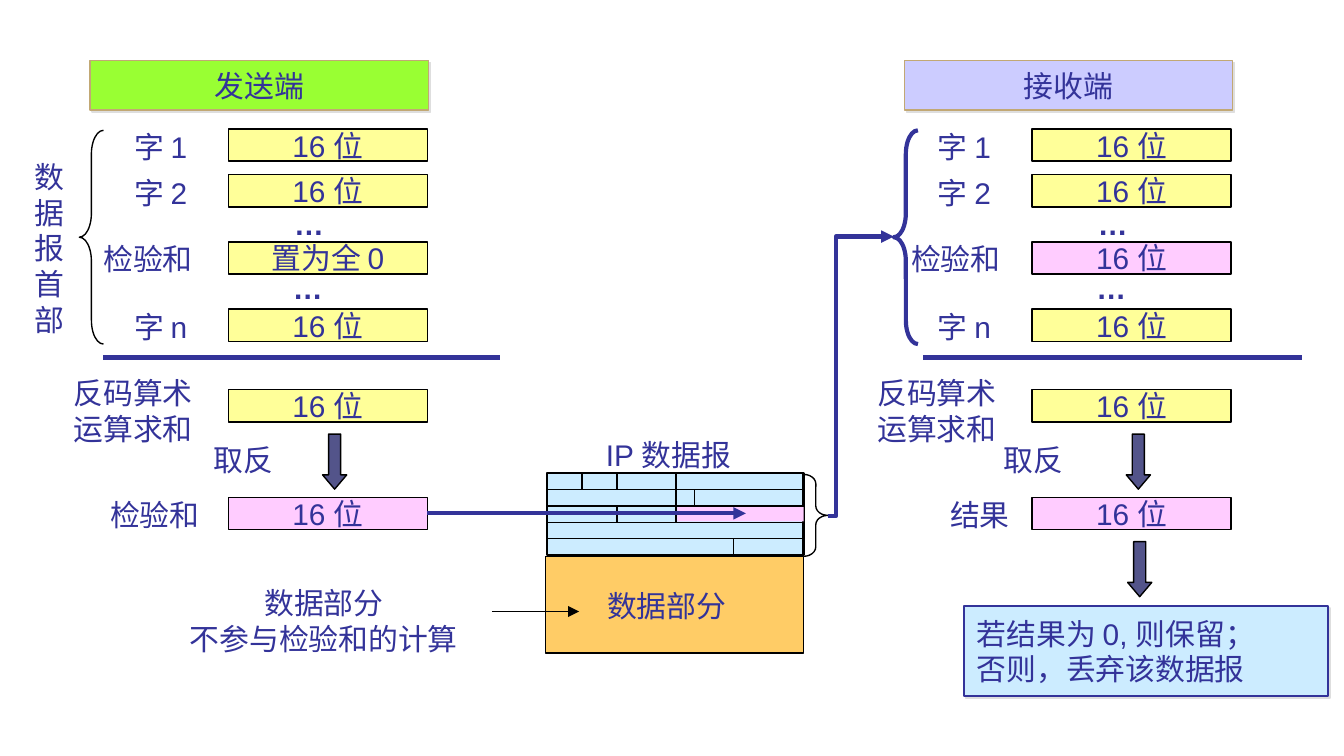
"""Build the IP header checksum diagram slide for sender and receiver."""
from lxml import etree
from pptx import Presentation
from pptx import util as u
from pptx.dml.color import RGBColor
from pptx.enum import shapes, text
from pptx.oxml.ns import qn

COLORS = {
    "ink": "333399", "black": "000000", "green": "99FF33", "lilac": "CCCCFF", "tan": "C2A874",
    "yellow": "FFFF99", "pink": "FFCCFF", "sky": "CCECFF", "orange": "FFCC66",
    "arrow": "53548A", "shade": "DEDEDE",
}
FONT = {"size": u.Pt(16), "name": "Arial"}
SHADOW = {"blurRad": "0", "dist": "17961", "dir": "2700000", "algn": "ctr", "rotWithShape": "0"}
KIND = shapes.MSO_SHAPE
LEFT, CENTER = text.PP_ALIGN.LEFT, text.PP_ALIGN.CENTER

WORD_LEFT, WORD_WIDTH, WORD_HEIGHT = 1.7, 1.48, 0.24
HEADER_WORDS = [("字 1", 0.96), ("字 2", 1.3), ("字 n", 2.3)]
ELLIPSES = [(2.09, 1.48), (2.08, 1.96)]
SIDES = [
    {"shift": 0, "heading": ("发送端", 0.67, 2.52, "green"),
     "checksum": ("检验和", 0.67, 0.88, "置为全 0", "yellow"),
     "outcome": ("检验和", 0.72, 0.88), "invert": 1.49,
     "rule": (0.77, 3.72), "brace": (0.59, "black", 0.75)},
    {"shift": 5.98, "heading": ("接收端", 6.73, 2.44, "lilac"),
     "checksum": ("检验和", 6.68, 0.88, "16 位", "pink"),
     "outcome": ("结果", 6.97, 0.65), "invert": 7.37,
     "rule": (6.87, 9.69), "brace": (6.65, "ink", 2.25)},
]
HEADER_LEFT, HEADER_TOP, HEADER_WIDTH, HEADER_HEIGHT, FIELD_ROWS = 4.07, 3.52, 1.91, 0.61, 5
FIELD_DIVIDERS = [(5.03, 0, 3), (4.59, 2, 3), (4.59, 0, 1), (4.33, 0, 1), (5.17, 1, 2), (5.46, 4, 5)]
CHECKSUM_ROW = 3.82

deck = Presentation()
deck.slide_width, deck.slide_height = u.Inches(10), u.Inches(10) * 9 // 16
canvas = deck.slides.add_slide(deck.slide_layouts[6]).shapes


def color(key):
    return RGBColor.from_string(COLORS[key])


def apply(target, values):
    for key, value in values.items():
        setattr(target, key, value)


def write(shape, lines, align, bold=None, **frame):
    apply(shape.text_frame, frame)
    shape.text_frame.text = lines
    for paragraph in shape.text_frame.paragraphs:
        paragraph.alignment = align
        apply(paragraph.font, {**FONT, "bold": bold})
        paragraph.font.color.rgb = color("ink")


def stroke(shape, key, width, arrow=False):
    shape.line.color.rgb = color(key)
    shape.line.width = u.Pt(width)
    if arrow:
        line = shape.element.spPr.find(qn("a:ln"))
        etree.SubElement(line, qn("a:tailEnd"), type="triangle")


def block(x, y, w, h, fill, line="black", width=0.75, lines="", align=CENTER,
          kind=KIND.RECTANGLE, shadow=False):
    shape = canvas.add_shape(kind, *map(u.Inches, (x, y, w, h)))
    shape.shadow.inherit = False
    if fill:
        shape.fill.solid()
        shape.fill.fore_color.rgb = color(fill)
    else:
        shape.fill.background()
    if line:
        stroke(shape, line, width)
    else:
        shape.line.fill.background()
    if shadow:
        effects = shape.element.spPr.find(qn("a:effectLst"))
        outer = etree.SubElement(effects, qn("a:outerShdw"), SHADOW)
        etree.SubElement(outer, qn("a:srgbClr"), val=COLORS["shade"])
    if lines:
        write(shape, lines, align, word_wrap=True, vertical_anchor=text.MSO_ANCHOR.MIDDLE)
    return shape


def label(lines, x, y, w, h=0.37, align=LEFT, bold=None):
    box = canvas.add_textbox(*map(u.Inches, (x, y, w, h)))
    write(box, lines, align, bold, word_wrap=False, auto_size=text.MSO_AUTO_SIZE.SHAPE_TO_FIT_TEXT)


def connect(x1, y1, x2, y2, key="black", width=0.75, arrow=False):
    line = canvas.add_connector(shapes.MSO_CONNECTOR.STRAIGHT, *map(u.Inches, (x1, y1, x2, y2)))
    stroke(line, key, width, arrow)
    etree.SubElement(line.element.spPr, qn("a:effectLst"))
    return line


def word(shift, y, fill="yellow", lines="16 位"):
    return block(WORD_LEFT + shift, y, WORD_WIDTH, WORD_HEIGHT, fill, lines=lines)


def down_arrow(x, y):
    block(x, y, 0.18, 0.41, "arrow", kind=KIND.DOWN_ARROW).adjustments[1] = 0.59


def brace(x, y, h, kind, curve, key="black", width=0.75):
    block(x, y, 0.18, h, None, key, width, kind=kind).adjustments[0] = curve


def draw_side(shift, heading, checksum, outcome, invert, rule, brace_style):
    title, x, w, fill = heading
    block(x, 0.45, w, 0.37, fill, "tan", lines=title, shadow=True)
    for name, y in HEADER_WORDS:
        word(shift, y)
        label(name, 0.9 + shift, y - 0.05, 0.71)
    name, x, w, value, fill = checksum
    word(shift, 1.8, fill, value)
    label(name, x, 1.74, w)
    for x, y in ELLIPSES:
        label("…", x + shift, y, 0.42, bold=True)
    connect(rule[0], 2.66, rule[1], 2.66, "ink", 2.25)
    word(shift, 2.9)
    label("反码算术\n运算求和", 0.45 + shift, 2.74, 1.1, 0.64)
    down_arrow(2.4 + shift, 3.23)
    label("取反", invert, 3.24, 0.65)
    name, x, w = outcome
    result = word(shift, 3.7, "pink")
    label(name, x, 3.65, w)
    x, key, width = brace_style
    brace(x, 0.97, 1.59, KIND.LEFT_BRACE, 0.98, key, width)
    return result


def draw_datagram():
    block(4.06, 4.14, 1.92, 0.72, "orange")
    label("数据部分", 4.42, 4.32, 1.1)
    block(HEADER_LEFT, HEADER_TOP, HEADER_WIDTH, HEADER_HEIGHT, "sky", width=1.5)
    block(5.04, 3.77, 0.94, 0.11, "pink", None)
    label("IP 数据报", 4.41, 3.2, 1.19)
    row_y = [HEADER_TOP + HEADER_HEIGHT * row / FIELD_ROWS for row in range(FIELD_ROWS + 1)]
    for y in row_y[1:]:
        connect(HEADER_LEFT, y, HEADER_LEFT + HEADER_WIDTH, y)
    for x, first, last in FIELD_DIVIDERS:
        connect(x, row_y[first], x, row_y[last])
    brace(5.98, 3.53, 0.61, KIND.RIGHT_BRACE, 0.39)


def draw_transfer(sent_checksum):
    sending = connect(3.18, CHECKSUM_ROW, 5.55, CHECKSUM_ROW, "ink", 2.25, True)
    sending.begin_connect(sent_checksum, 3)
    route = [tuple(map(u.Inches, point)) for point in
             ((6.16, 3.84), (6.22, 3.84), (6.22, 1.76), (6.65, 1.76))]
    builder = canvas.build_freeform(*route[0])
    builder.add_line_segments(route[1:], close=False)
    delivery = builder.convert_to_shape()
    delivery.shadow.inherit = False
    delivery.fill.background()
    stroke(delivery, "ink", 2.25, True)


def main():
    draw_datagram()
    results = [draw_side(side["shift"], side["heading"], side["checksum"], side["outcome"],
                         side["invert"], side["rule"], side["brace"]) for side in SIDES]
    draw_transfer(results[0])
    label("\n".join("数据报首部"), 0.16, 1.13, 0.42, 1.43)
    down_arrow(8.39, 4.03)
    block(7.17, 4.51, 2.71, 0.67, "sky", "ink", 1, "若结果为 0, 则保留；\n否则，丢弃该数据报", LEFT, shadow=True)
    label("数据部分\n不参与检验和的计算", 1.3, 4.3, 2.22, 0.64, CENTER)
    connect(3.66, 4.55, 4.31, 4.55, arrow=True)
    deck.save("out.pptx")


if __name__ == "__main__":
    main()
